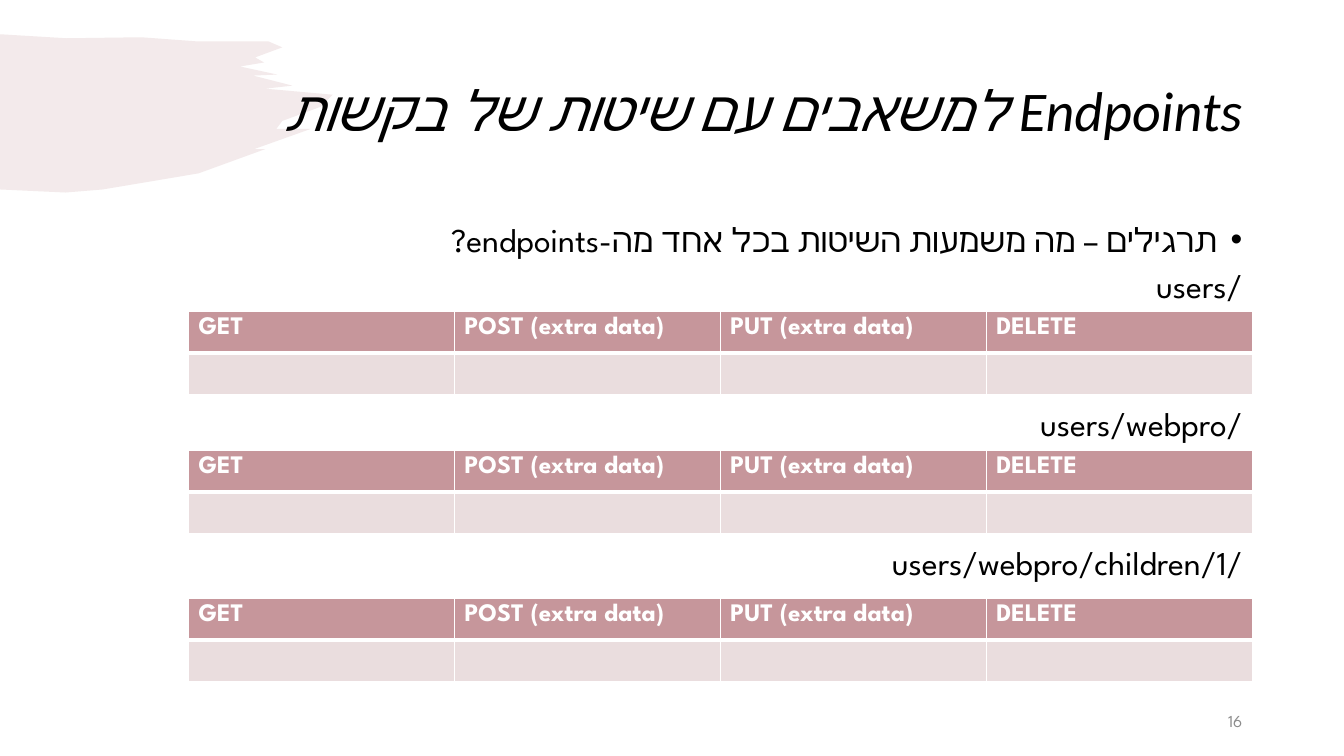
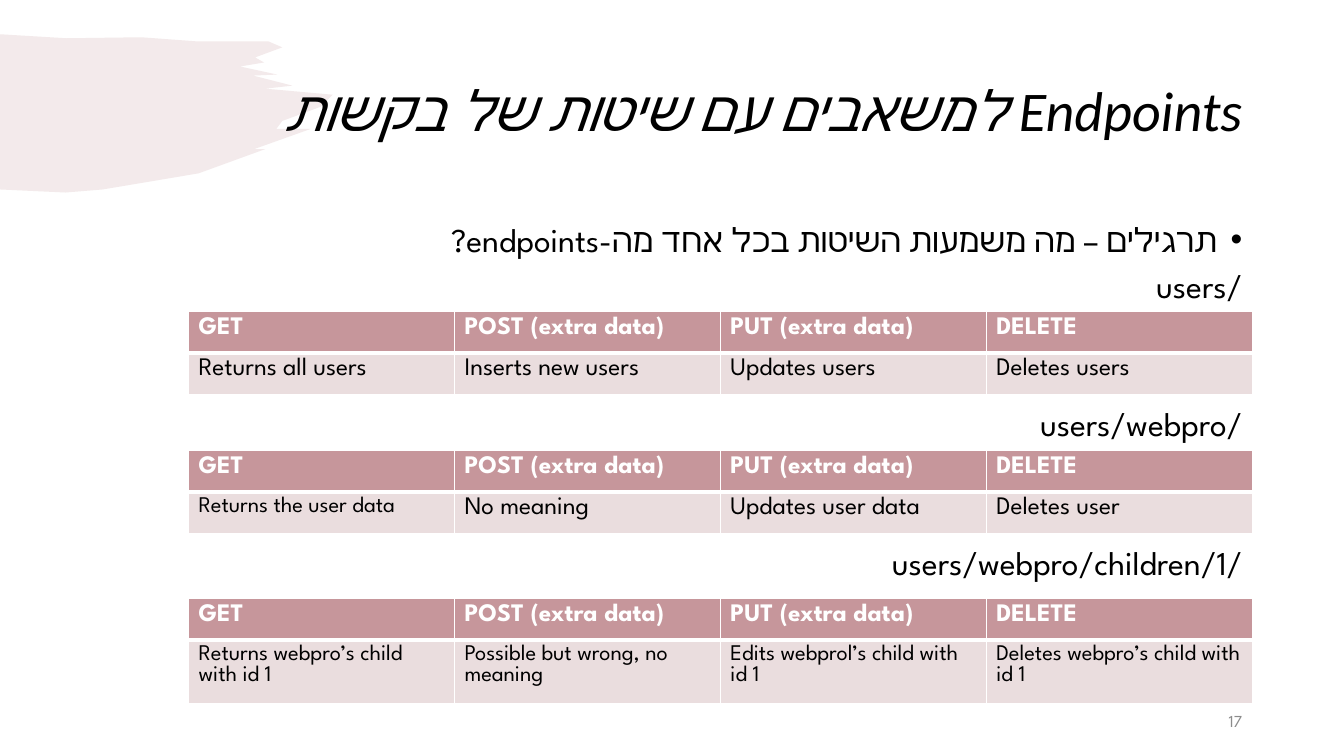
from dataclasses import dataclass

from lxml import etree
from pptx import Presentation
from pptx.dml.color import RGBColor
from pptx.enum.text import MSO_ANCHOR, PP_ALIGN
from pptx.oxml.ns import qn
from pptx.util import Inches, Pt

RIGHT = PP_ALIGN.RIGHT
MIDDLE = MSO_ANCHOR.MIDDLE
TOP = MSO_ANCHOR.TOP

# Shared look
ROSE, PALE_ROSE = "C6969B", "EADDDE"
BLACK, WHITE, GREY = "000000", "FFFFFF", "8C8C8C"
TITLE_FONT, BODY_FONT = "Calibri", "League Spartan"
LEFT, CONTENT_WIDTH = 0.92, 11.5
TABLE_LEFT, TABLE_WIDTH, ROW_HEIGHT = 1.87, 10.55, 0.41
TABLE_TOPS = (3.09, 4.47, 5.94)
THIN, THICK = 1, 3

TITLE = "Endpoints למשאבים עם שיטות של בקשות"
QUESTION = "תרגילים – מה משמעות השיטות בכל אחד מה-endpoints?"
ENDPOINTS = ("/users", "/users/webpro", "/users/webpro/children/1")
METHODS = ("GET", "POST (extra data)", "PUT (extra data)", "DELETE")

TITLE_STYLE = {"name": TITLE_FONT, "size": Pt(40), "italic": True}
BODY_STYLE = {"name": BODY_FONT, "size": Pt(23.8)}
NUMBER_STYLE = {"name": BODY_FONT, "size": Pt(12)}
HEADER_STYLE = {"name": BODY_FONT, "size": Pt(18), "bold": True}

# Brush stroke: smooth top, ragged right end, smooth bottom
BRUSH_OUTLINE = (
    (0, 0.34), (0.66, 0.38), (1.4, 0.37), (1.94, 0.41), (2.66, 0.41), (2.8, 0.47),
    (2.53, 0.57), (2.62, 0.62), (2.38, 0.66), (2.75, 0.74), (2.51, 0.75),
    (2.9, 0.85), (2.63, 0.88), (3.3, 0.94), (3.18, 1.06), (2.8, 1.2), (2.74, 1.28),
    (3.08, 1.28), (2.52, 1.48), (2.63, 1.48), (1.97, 1.72), (1.02, 1.88),
    (0.65, 1.91), (0, 1.88),
)


@dataclass(frozen=True)
class Answer:
    text: str = ""
    size: float = 18


@dataclass(frozen=True)
class EndpointSlide:
    number: int
    answers: tuple[tuple[Answer, ...], ...]


UNANSWERED = ((Answer(),) * len(METHODS),) * len(ENDPOINTS)
ANSWERED = (
    (Answer("Returns all users"), Answer("Inserts new users"),
     Answer("Updates users"), Answer("Deletes users")),
    (Answer("Returns the user data", 16), Answer("No meaning"),
     Answer("Updates user data"), Answer("Deletes user")),
    (Answer("Returns webpro’s child with id 1", 16),
     Answer("Possible but wrong, no meaning", 16),
     Answer("Edits webprol’s child with id 1", 16),
     Answer("Deletes webpro’s child with id 1", 16)),
)
SLIDES = (EndpointSlide(16, UNANSWERED), EndpointSlide(17, ANSWERED))


def paint(color_format, color: str) -> None:
    color_format.rgb = RGBColor.from_string(color)


def apply(target, values: dict) -> None:
    for name, value in values.items():
        setattr(target, name, value)


def add_span(para, text: str, style: dict, color: str) -> None:
    span = para.add_run()
    span.text = text
    apply(span.font, style)
    paint(span.font.color, color)
    # Hebrew letters take the complex-script font
    etree.SubElement(span.font._element, qn("a:cs"), typeface=style["name"])


def add_box(page, left: float, top: float, width: float, height: float, anchor):
    box = page.shapes.add_textbox(Inches(left), Inches(top), Inches(width), Inches(height))
    apply(box.text_frame, {"word_wrap": True, "vertical_anchor": anchor})
    return box.text_frame


def set_right_to_left(para, layout: dict) -> None:
    apply(para, {"alignment": RIGHT, **layout})
    para._p.get_or_add_pPr().set("rtl", "1")


def add_bullet(para) -> None:
    properties = para._p.get_or_add_pPr()
    properties.set("marL", str(Inches(0.25)))
    properties.set("indent", str(-Inches(0.25)))
    etree.SubElement(properties, qn("a:buFont"), typeface="Arial")
    etree.SubElement(properties, qn("a:buChar"), char="•")


def add_brush(page) -> None:
    start, *points = [(Inches(x), Inches(y)) for x, y in BRUSH_OUTLINE]
    builder = page.shapes.build_freeform(*start)
    builder.add_line_segments(points, close=True)
    brush = builder.convert_to_shape()
    brush.shadow.inherit = False
    brush.line.fill.background()
    brush.fill.solid()
    paint(brush.fill.fore_color, ROSE)
    color = brush.element.spPr.find(".//" + qn("a:srgbClr"))
    etree.SubElement(color, qn("a:alpha"), val="20000")


def add_title(page) -> None:
    para = add_box(page, LEFT, 0.4, CONTENT_WIDTH, 1.45, MIDDLE).paragraphs[0]
    set_right_to_left(para, {"line_spacing": 0.9})
    add_span(para, TITLE, TITLE_STYLE, BLACK)


def add_body(page) -> None:
    frame = add_box(page, LEFT, 2.2, CONTENT_WIDTH, 4.55, TOP)
    # The wide spacing leaves room for the tables
    for index, (text, before) in enumerate(zip((QUESTION, *ENDPOINTS), (10, 10, 76, 76))):
        para = frame.add_paragraph() if index else frame.paragraphs[0]
        set_right_to_left(para, {"line_spacing": 0.8, "space_before": Pt(before)})
        if index == 0:
            add_bullet(para)
        add_span(para, text, BODY_STYLE, BLACK)


def add_number(page, number: int) -> None:
    para = add_box(page, 9.42, 6.95, 3, 0.4, MIDDLE).paragraphs[0]
    para.alignment = RIGHT
    add_span(para, str(number), NUMBER_STYLE, GREY)


def format_cell(cell, fill: str, borders: dict[str, float]) -> None:
    properties = cell._tc.get_or_add_tcPr()
    for side, width in borders.items():
        line = etree.SubElement(properties, qn(f"a:ln{side}"), w=str(Pt(width)))
        solid = etree.SubElement(line, qn("a:solidFill"))
        etree.SubElement(solid, qn("a:srgbClr"), val=WHITE)
    cell.fill.solid()
    paint(cell.fill.fore_color, fill)


def add_methods_table(page, top: float, answers: tuple[Answer, ...]) -> None:
    table = page.shapes.add_table(
        2, len(METHODS), Inches(TABLE_LEFT), Inches(top),
        Inches(TABLE_WIDTH), Inches(2 * ROW_HEIGHT)).table
    table.horz_banding = False
    for row in table.rows:
        row.height = Inches(ROW_HEIGHT)
    for column, (method, answer) in enumerate(zip(METHODS, answers)):
        header, body = table.cell(0, column), table.cell(1, column)
        format_cell(header, ROSE, {"L": THIN, "R": THIN, "T": THIN, "B": THICK})
        format_cell(body, PALE_ROSE, {"L": THIN, "R": THIN, "T": THICK, "B": THIN})
        add_span(header.text_frame.paragraphs[0], method, HEADER_STYLE, WHITE)
        if answer.text:
            style = {**HEADER_STYLE, "size": Pt(answer.size), "bold": False}
            add_span(body.text_frame.paragraphs[0], answer.text, style, BLACK)


def build_slide(deck, content: EndpointSlide) -> None:
    page = deck.slides.add_slide(deck.slide_layouts[6])
    add_brush(page)
    add_title(page)
    add_body(page)
    add_number(page, content.number)
    for top, answers in zip(TABLE_TOPS, content.answers):
        add_methods_table(page, top, answers)


def main() -> None:
    deck = Presentation()
    deck.slide_width, deck.slide_height = Inches(13.33), Inches(7.5)
    for content in SLIDES:
        build_slide(deck, content)
    deck.save("out.pptx")


if __name__ == "__main__":
    main()
